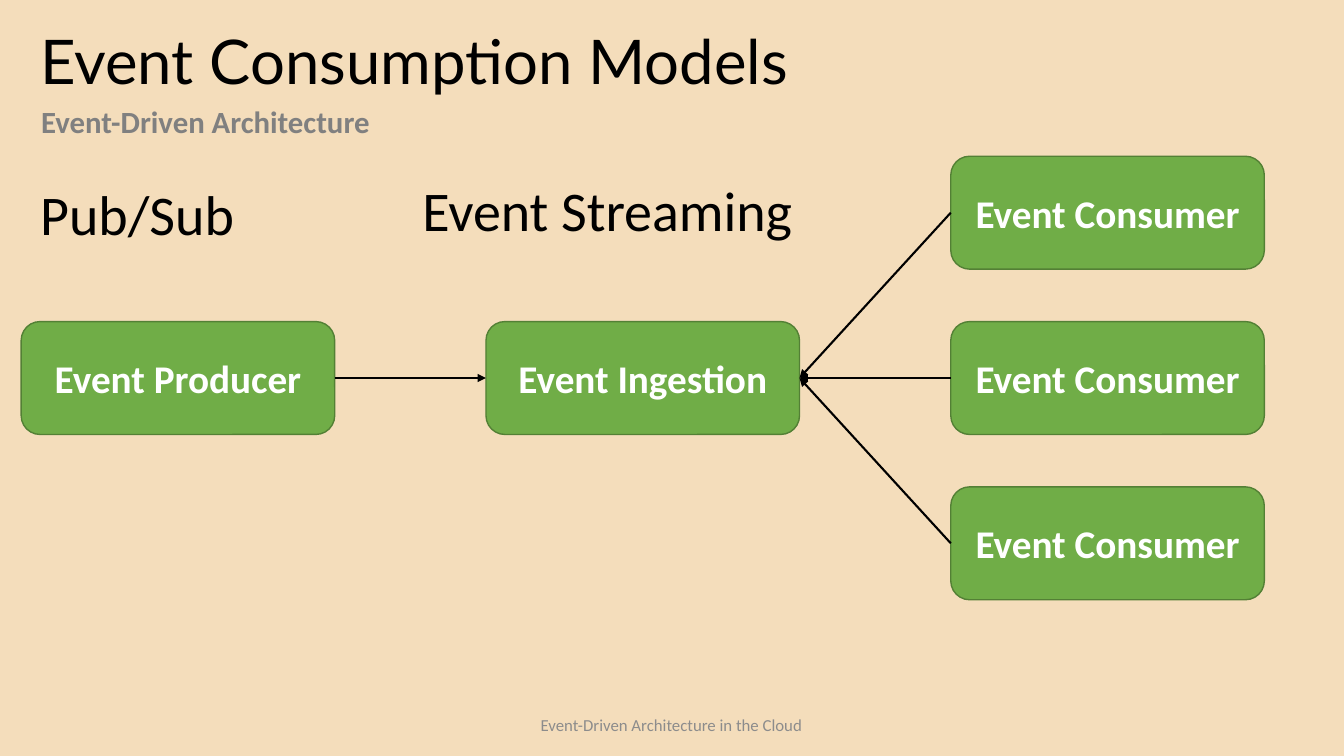
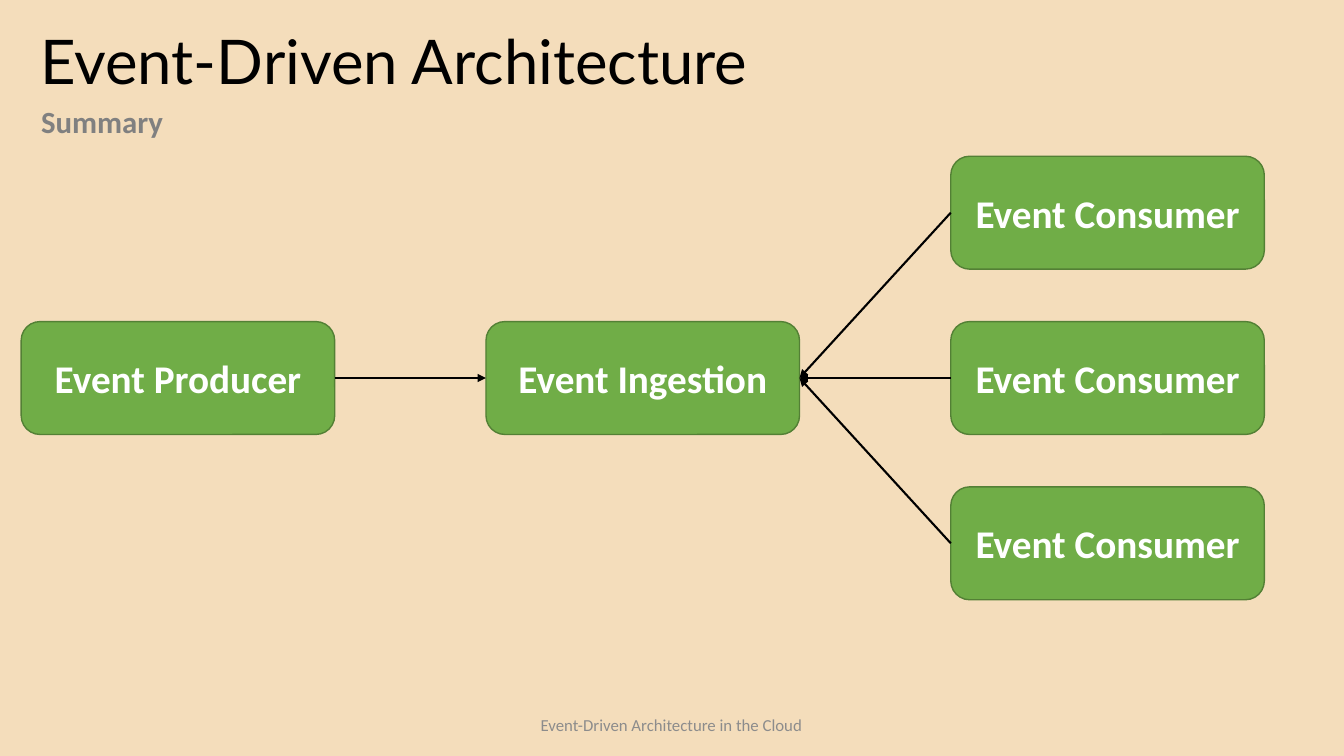
from pptx import Presentation
from pptx.dml.color import RGBColor
from pptx.enum.shapes import MSO_CONNECTOR, MSO_SHAPE
from pptx.enum.text import MSO_ANCHOR, MSO_AUTO_SIZE, PP_ALIGN
from pptx.oxml.ns import qn
from pptx.util import Inches, Pt
from lxml import etree

ROUND = MSO_SHAPE.ROUNDED_RECTANGLE
STRAIGHT = MSO_CONNECTOR.STRAIGHT
TOP, MIDDLE = MSO_ANCHOR.TOP, MSO_ANCHOR.MIDDLE
LEFT, CENTER = PP_ALIGN.LEFT, PP_ALIGN.CENTER
GROW = MSO_AUTO_SIZE.SHAPE_TO_FIT_TEXT
LEFT_SIDE, RIGHT_SIDE = 1, 3

COLORS = {
    "sand": "F4DDBB", "green": "70AD47", "edge": "538035",
    "black": "000000", "white": "FFFFFF", "gray": "808080", "pale": "8C8C8C",
}

# Each style holds font, paragraph and frame values, and a colour.
STYLES = {
    "title": {
        "font": {"name": "Lato", "size": Pt(44), "bold": False},
        "para": {"alignment": LEFT, "line_spacing": 0.9},
        "frame": {"word_wrap": True, "vertical_anchor": MIDDLE},
        "color": "black",
    },
    "sub": {
        "font": {"name": "Calibri", "size": Pt(22), "bold": True},
        "para": {"alignment": LEFT, "line_spacing": 0.8},
        "frame": {"word_wrap": True, "vertical_anchor": MIDDLE},
        "color": "gray",
    },
    "model": {
        "font": {"name": "Calibri", "size": Pt(40), "bold": False},
        "para": {"alignment": LEFT},
        "frame": {"word_wrap": False, "vertical_anchor": TOP, "auto_size": GROW},
        "color": "black",
    },
    "node": {
        "font": {"name": "Calibri", "size": Pt(28), "bold": True},
        "para": {"alignment": CENTER},
        "frame": {"word_wrap": True, "vertical_anchor": MIDDLE},
        "color": "white",
    },
    "footer": {
        "font": {"name": "Calibri", "size": Pt(12), "bold": False},
        "para": {"alignment": CENTER},
        "frame": {"word_wrap": False, "vertical_anchor": TOP, "auto_size": GROW},
        "color": "pale",
    },
}

WIDTH, HEIGHT = 13.33, 7.5
NODE_W, NODE_H = 3.11, 1.12
NODE_X, STEP_X, STEP_Y = 0.21, 4.61, 1.64

SLIDES = [
    ("Event Consumption Models", "Event-Driven Architecture",
     [("Pub/Sub", (0.3, 1.73, 2.14, 0.77)),
      ("Event Streaming", (4.09, 1.69, 3.91, 0.77))]),
    ("Event-Driven Architecture", "Summary", []),
]


def paint(fill, color):
    fill.solid()
    fill.fore_color.rgb = RGBColor.from_string(COLORS[color])


def apply(target, values):
    for key, value in values.items():
        setattr(target, key, value)


def write(shape, text, style):
    """Put one styled paragraph into a shape."""
    look = STYLES[style]
    frame = shape.text_frame
    para = frame.paragraphs[0]
    run = para.add_run()
    run.text = text
    apply(frame, look["frame"])
    apply(para, look["para"])
    apply(run.font, look["font"])
    paint(run.font.fill, look["color"])


def add_text(slide, text, box, style):
    write(slide.shapes.add_textbox(*map(Inches, box)), text, style)


def add_node(slide, text, col, row=0):
    """Add a box at a column; row 0 is centred on the slide's height."""
    left = NODE_X + col * STEP_X
    top = (HEIGHT - NODE_H) / 2 + row * STEP_Y
    node = slide.shapes.add_shape(ROUND, *map(Inches, (left, top, NODE_W, NODE_H)))
    node.shadow.inherit = False
    paint(node.fill, "green")
    paint(node.line.fill, "edge")
    node.line.width = Pt(1)
    write(node, text, "node")
    return node


def add_arrow(slide, start, side, end, goal):
    """Join a side of one box to a side of another, with a head at the end."""
    arrow = slide.shapes.add_connector(STRAIGHT, 0, 0, 0, 0)
    arrow.begin_connect(start, side)
    arrow.end_connect(end, goal)
    paint(arrow.line.fill, "black")
    arrow.line.width = Pt(1.5)
    etree.SubElement(arrow.line._get_or_add_ln(), qn("a:tailEnd"), type="triangle")
    etree.SubElement(arrow._element.spPr, qn("a:effectLst"))


def add_flow(slide):
    source = add_node(slide, "Event Producer", 0)
    hub = add_node(slide, "Event Ingestion", 1)
    users = [add_node(slide, "Event Consumer", 2, row) for row in (-1, 0, 1)]
    add_arrow(slide, source, RIGHT_SIDE, hub, LEFT_SIDE)
    for user in users:
        add_arrow(slide, user, LEFT_SIDE, hub, RIGHT_SIDE)


def add_frame(slide, title, sub):
    """Add the footer, title and subtitle that every slide has."""
    add_text(slide, "Event-Driven Architecture in the Cloud",
             (5.25, 7.04, 2.82, 0.3), "footer")
    add_text(slide, title, (0.3, 0.24, 12.72, 0.8), "title")
    add_text(slide, sub, (0.31, 1.04, 12.72, 0.4), "sub")


def main():
    deck = Presentation()
    deck.slide_width, deck.slide_height = Inches(WIDTH), Inches(HEIGHT)
    paint(deck.slide_master.background.fill, "sand")
    blank = deck.slide_layouts[6]
    for title, sub, models in SLIDES:
        slide = deck.slides.add_slide(blank)
        add_frame(slide, title, sub)
        add_flow(slide)
        for text, box in models:
            add_text(slide, text, box, "model")
    deck.save("out.pptx")


if __name__ == "__main__":
    main()
